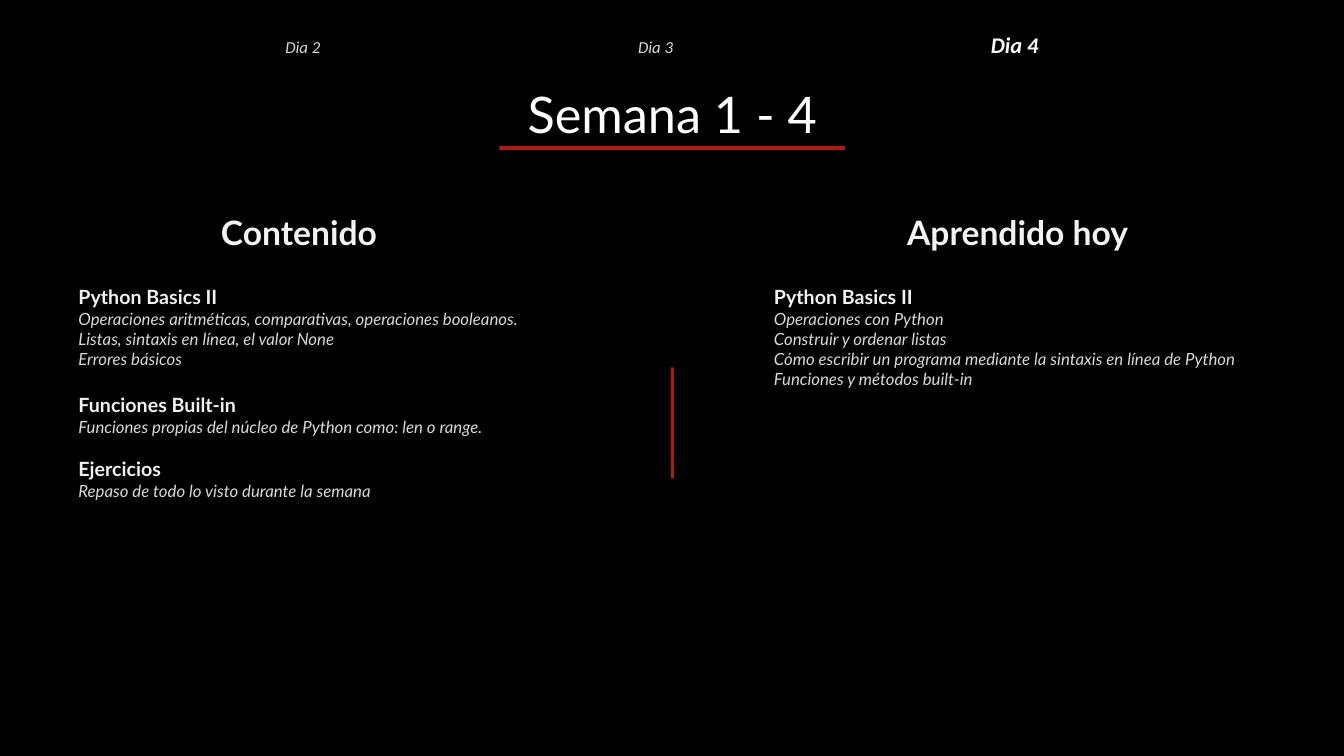
from pptx import Presentation
from pptx.dml.color import RGBColor
from pptx.enum.shapes import MSO_SHAPE as Shape
from pptx.enum.text import MSO_ANCHOR as Anchor, PP_ALIGN as Align
from pptx.oxml.ns import qn
from pptx.util import Inches, Pt
from lxml.etree import SubElement

BLACK = RGBColor(0x00, 0x00, 0x00)
WHITE = RGBColor(0xFF, 0xFF, 0xFF)
PALE = RGBColor(0xF2, 0xF2, 0xF2)
GREY = RGBColor(0xD9, 0xD9, 0xD9)
RED = RGBColor(0xAA, 0x1D, 0x16)
WIDTH, HEIGHT = Inches(13.33), Inches(7.5)
COLUMN, ROW = WIDTH / 40, HEIGHT / 30

DAYS = ["Dia 2", "Dia 3", "Dia 4"]
CONTENT = [
    ("Python Basics II", 0, [
        "Operaciones aritméticas, comparativas, operaciones booleanos.",
        "Listas, sintaxis en línea, el valor None",
        "Errores básicos"]),
    ("Funciones Built-in", 17, ["Funciones propias del núcleo de Python como: len o range."]),
    ("Ejercicios", 14.5, ["Repaso de todo lo visto durante la semana"]),
]
LEARNED = [
    ("Python Basics II", 0, [
        "Operaciones con Python",
        "Construir y ordenar listas",
        "Cómo escribir un programa mediante la sintaxis en línea de Python",
        "Funciones y métodos built-in"]),
]


def place(box):
    left, top, width, height = box
    return int(left * COLUMN), int(top * ROW), int(width * COLUMN), int(height * ROW)


def add_frame(page, box):
    frame = page.shapes.add_textbox(*place(box)).text_frame
    frame.word_wrap = True
    return frame


def add_span(para, text, size, color, bold=False, italic=False, font="Lato"):
    span = para.add_run()
    span.text = text
    span.font.name = font
    span.font.size = Pt(size)
    span.font.color.rgb = color
    span.font.bold = bold
    span.font.italic = italic


def add_bar(page, box):
    bar = page.shapes.add_shape(Shape.RECTANGLE, *place(box))
    bar.shadow.inherit = False
    bar.fill.solid()
    bar.fill.fore_color.rgb = RED
    bar.line.fill.background()


def add_days(page, box, inset=7.32, pitch=10.5):
    frame = add_frame(page, box)
    frame.margin_left = int(inset * COLUMN)
    para = frame.paragraphs[0]
    para.alignment = Align.LEFT
    stops = SubElement(para._p.get_or_add_pPr(), qn("a:tabLst"))
    for number in range(1, len(DAYS)):
        SubElement(stops, qn("a:tab"), pos=str(int(number * pitch * COLUMN)), algn="l")
    for day in DAYS[:-1]:
        add_span(para, day + "\t", 12, GREY, italic=True, font="Calibri")
    add_span(para, DAYS[-1], 16, WHITE, bold=True, italic=True, font="Calibri")


def add_title(page, box):
    left, top, width, height = box
    frame = add_frame(page, box)
    frame.vertical_anchor = Anchor.MIDDLE
    para = frame.paragraphs[0]
    para.alignment = Align.CENTER
    para.line_spacing = 0.9
    add_span(para, "Semana 1 - 4", 36, WHITE)
    add_bar(page, (left + width / 4, top + 2.52, width / 2, 0.16))


def add_panel(page, box, indent, heading, topics):
    left, top, width, height = box
    para = add_frame(page, (left + indent, top, 11.91, 2)).paragraphs[0]
    para.alignment = Align.CENTER
    add_span(para, heading, 24, PALE, bold=True)

    frame = add_frame(page, (left, top + 2.92, width, height - 2.92))
    para = frame.paragraphs[0]
    for topic, gap, lines in topics:
        if gap:
            para = frame.add_paragraph()
            para.space_before = Pt(gap)
        add_span(para, topic, 14, PALE, bold=True)
        for line in lines:
            add_span(frame.add_paragraph(), line, 12, GREY, italic=True)


deck = Presentation()
deck.slide_width, deck.slide_height = WIDTH, HEIGHT
page = deck.slides.add_slide(deck.slide_layouts[6])
page.background.fill.solid()
page.background.fill.fore_color.rgb = BLACK

add_title(page, (9.72, 3.28, 20.58, 2.72))
add_days(page, (1.17, 1.04, 37.65, 1.48))
add_panel(page, (2.04, 8.2, 15.36, 15.16), 0.9, "Contenido", CONTENT)
add_bar(page, (19.97, 14.58, 0.09, 4.4))
add_panel(page, (22.74, 8.2, 15.63, 11.52), 1.59, "Aprendido hoy", LEARNED)

deck.save("out.pptx")
